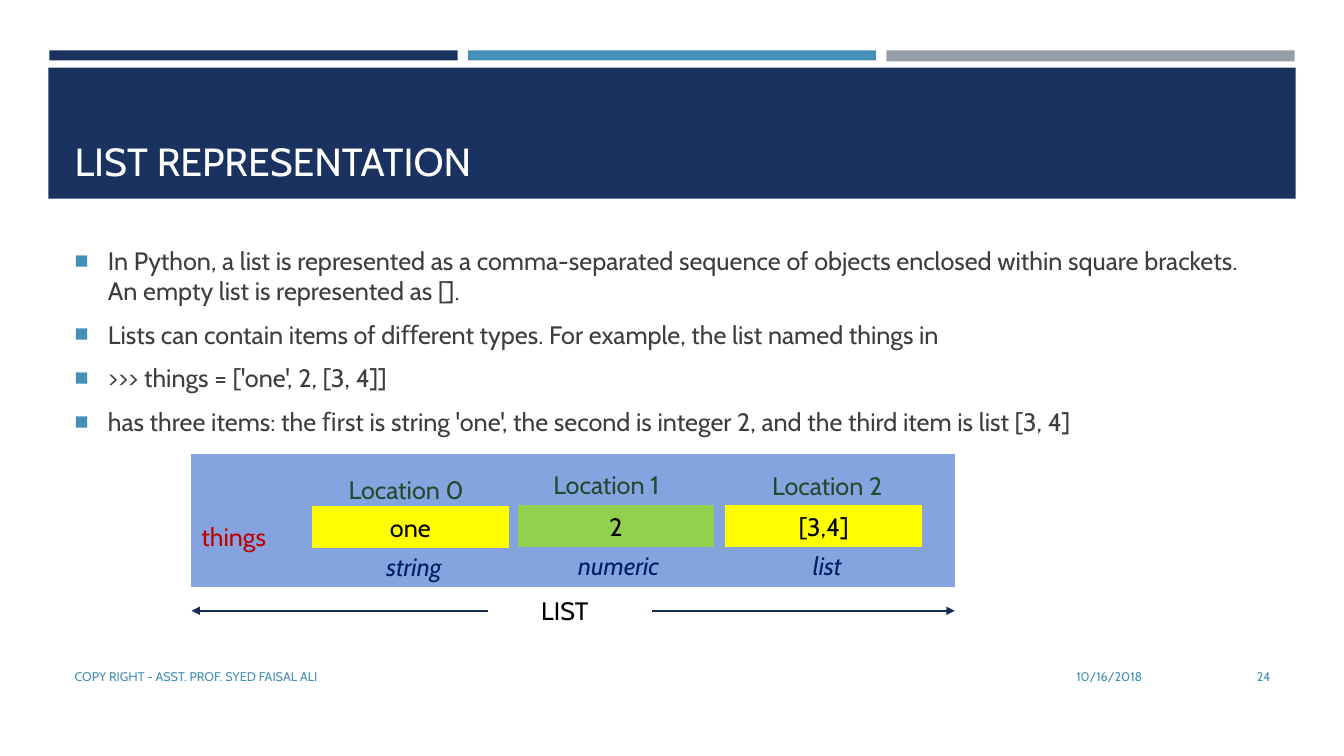
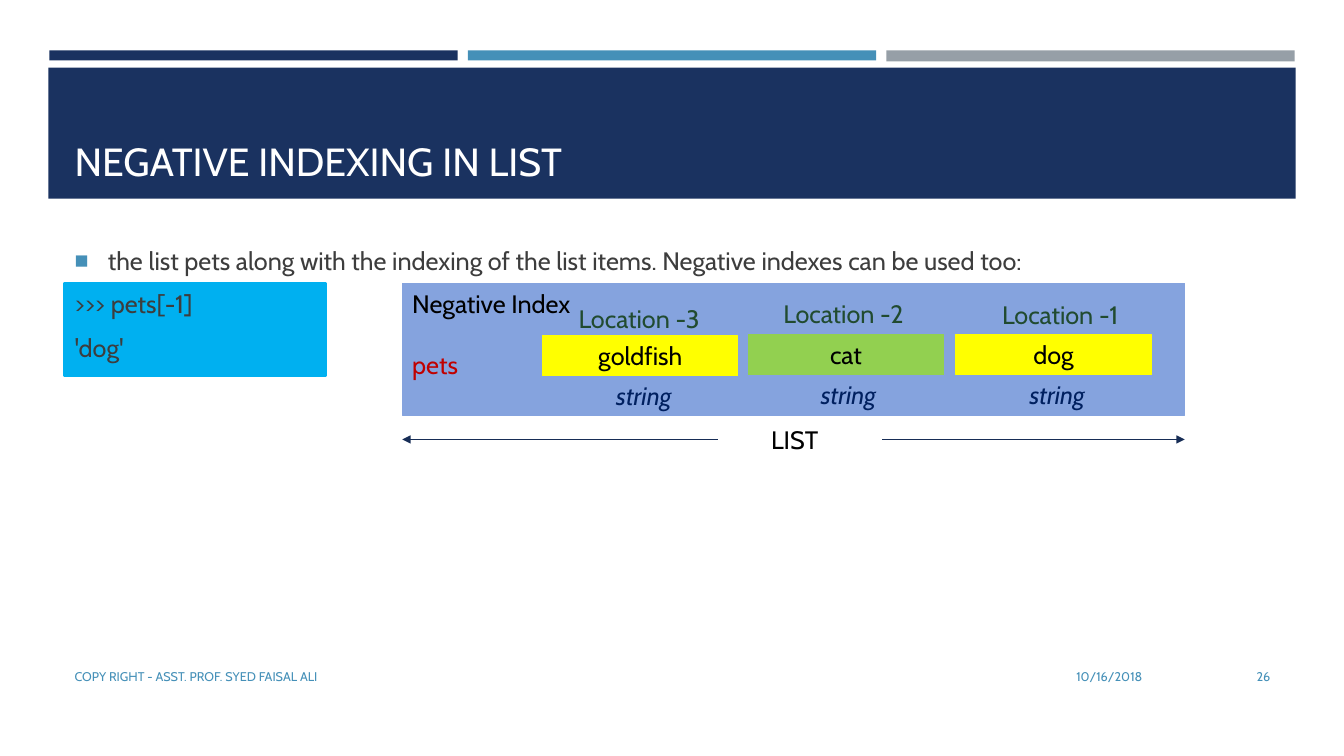
from copy import deepcopy
from dataclasses import dataclass

from lxml import etree
from pptx import Presentation, util as u
from pptx.dml.color import RGBColor
from pptx.enum import shapes, text
from pptx.oxml.ns import qn

FONT = "Cabin"
NAVY, BLUE, GREY, WHITE = "1A3260", "4590B8", "969FA7", "FFFFFF"
INK, BLACK, RED, GREEN, DEEP = "3D3D3D", "000000", "C00000", "214B30", "002060"
PANEL, ARROW, SKY, LIME, YELLOW = "85A3DE", "172D56", "00B0F0", "92D050", "FFFF00"
LEFT, MID, RIGHT = text.PP_ALIGN.LEFT, text.PP_ALIGN.CENTER, text.PP_ALIGN.RIGHT
TOP, LOW = text.MSO_ANCHOR.TOP, text.MSO_ANCHOR.BOTTOM


@dataclass
class Box:
    x: float
    y: float
    w: float
    h: float


@dataclass
class Cell:
    place: str
    value: str
    kind: str


@dataclass
class Chart:
    name: str
    frame: Box
    cells: list[Cell]
    head: str = ""


@dataclass
class Slot:
    """Offsets of one cell from the panel's top right corner."""
    x: float
    y: float
    kind_x: float
    place_x: float
    place_y: float
    fill: str


@dataclass
class Page:
    title: str
    number: str
    body_h: float
    points: list[str]
    chart: Chart
    code: tuple[str, ...] = ()


BANDS = [
    (Box(0.49, 0.5, 4.05, 0.1), NAVY),
    (Box(4.64, 0.5, 4.05, 0.1), BLUE),
    (Box(8.79, 0.5, 4.05, 0.11), GREY),
    (Box(0.48, 0.67, 12.37, 1.3), NAVY),
]
SLOTS = [
    Slot(-6.37, 0.52, -6.11, -6.11, 0.15, YELLOW),
    Slot(-4.33, 0.51, -4.08, -4.08, 0.1, LIME),
    Slot(-2.27, 0.51, -2.01, -1.91, 0.11, YELLOW),
]
# Footer placeholders by index: place, alignment
FEET = {
    10: (Box(8.32, 6.51, 3.11, 0.4), RIGHT),
    11: (Box(0.64, 6.51, 7.56, 0.4), LEFT),
    12: (Box(11.55, 6.51, 1.15, 0.4), RIGHT),
}
DATE, CREDIT = "10/16/2018", "COPY RIGHT - ASST. PROF. SYED FAISAL ALI"

PAGES = [
    Page("LIST REPRESENTATION", "24", 2.13, [
        "In Python, a list is represented as a comma-separated sequence of objects "
        "enclosed within square brackets. An empty list is represented as [].",
        "Lists can contain items of diﬀerent types. For example, the list named things in",
        ">>> things = ['one', 2, [3, 4]]",
        "has three items: the ﬁrst is string 'one', the second is integer 2, "
        "and the third item is list [3, 4]",
    ], Chart("things", Box(1.9, 4.51, 7.57, 1.31), [
        Cell("Location 0", "one", "string"),
        Cell("Location 1", "2", "numeric"),
        Cell("Location 2", "[3,4]", "list"),
    ])),
    Page("NEGATIVE INDEXING IN LIST", "26", 4.02, [
        "the list pets along with the indexing of the list items. "
        "Negative indexes can be used too:",
    ], Chart("pets", Box(3.99, 2.81, 7.76, 1.31), [
        Cell("Location -3", "goldfish", "string"),
        Cell("Location -2", "cat", "string"),
        Cell("Location -1", "dog", "string"),
    ], "Negative Index"), (">>> pets[-1]", "'dog'")),
]


def tint(hue: str) -> RGBColor:
    return RGBColor.from_string(hue)


def spot(box: Box) -> tuple:
    return tuple(u.Inches(v) for v in (box.x, box.y, box.w, box.h))


def move(shape, box: Box) -> None:
    shape.left, shape.top, shape.width, shape.height = spot(box)


def write(para, words: str, hue: str, size: float = 18, align=LEFT,
          slant: bool = False) -> None:
    para.alignment = align
    run = para.add_run()
    run.text = words
    font = run.font
    font.name, font.size = FONT, u.Pt(size)
    font.color.rgb = tint(hue)
    if slant:
        font.italic = True


def block(slide, box: Box, hue: str, edge: float = 0):
    shape = slide.shapes.add_shape(shapes.MSO_SHAPE.RECTANGLE, *spot(box))
    shape.shadow.inherit = False
    shape.fill.solid()
    shape.fill.fore_color.rgb = tint(hue)
    if edge:
        shape.line.color.rgb = tint(hue)
        shape.line.width = u.Pt(edge)
    else:
        shape.line.fill.background()
    shape.text_frame.vertical_anchor = TOP
    return shape


def label(slide, box: Box, words: str, hue: str, align=LEFT,
          slant: bool = False) -> None:
    frame = slide.shapes.add_textbox(*spot(box)).text_frame
    frame.word_wrap = True
    write(frame.paragraphs[0], words, hue, align=align, slant=slant)


def arrow(slide, start: float, end: float, y: float) -> None:
    line = slide.shapes.add_connector(
        shapes.MSO_CONNECTOR.STRAIGHT, *(u.Inches(v) for v in (start, y, end, y)))
    line.line.color.rgb = tint(ARROW)
    line.line.width = u.Pt(1)
    props = line.element.spPr
    etree.SubElement(props.find(qn("a:ln")), qn("a:tailEnd"), type="triangle")
    etree.SubElement(props, qn("a:effectLst"))


def mark(para, bullet: bool) -> None:
    """Set the square bullet and its indent, or clear both."""
    props = para._p.get_or_add_pPr()
    dent = u.Inches(0.33) if bullet else 0
    props.set("marL", str(dent))
    props.set("indent", str(-dent))
    if not bullet:
        etree.SubElement(props, qn("a:buNone"))
        return
    hue = etree.SubElement(props, qn("a:buClr"))
    etree.SubElement(hue, qn("a:srgbClr"), val=BLUE)
    etree.SubElement(props, qn("a:buSzPct"), val="92000")
    etree.SubElement(props, qn("a:buChar"), char="■")


def fill_body(body, page: Page) -> None:
    move(body, Box(0.64, 2.38, 12.06, page.body_h))
    frame = body.text_frame
    frame.auto_size = text.MSO_AUTO_SIZE.NONE
    rows = [(p, True) for p in page.points] + [(c, False) for c in page.code]
    for i, (words, bullet) in enumerate(rows):
        para = frame.add_paragraph() if i else frame.paragraphs[0]
        para.space_after = u.Pt(6)
        mark(para, bullet)
        write(para, words, INK)


def draw_chart(slide, chart: Chart) -> None:
    box = chart.frame
    end, top = box.x + box.w, box.y
    # Panel with the name of the list
    frame = block(slide, box, PANEL, 0.75).text_frame
    frame.vertical_anchor = LOW
    frame.margin_bottom = u.Inches(0.35)
    para = frame.paragraphs[0]
    if chart.head:
        write(para, chart.head, BLACK)
        para = frame.add_paragraph()
        para.space_before = u.Pt(22)
    write(para, chart.name, RED)
    # Span of the list
    label(slide, Box(end - 4.2, top + 1.35, 1.67, 0.4), "LIST", BLACK)
    arrow(slide, end - 4.63, box.x, top + 1.55)
    arrow(slide, end - 3, end, top + 1.55)
    # Cells with type below and index above
    for slot, cell in zip(SLOTS, chart.cells):
        y = top + slot.y
        shape = block(slide, Box(end + slot.x, y, 1.94, 0.4), slot.fill, 0.75)
        write(shape.text_frame.paragraphs[0], cell.value, BLACK, align=MID)
        label(slide, Box(end + slot.kind_x, y + 0.39, 1.49, 0.4),
              cell.kind, DEEP, MID, True)
        label(slide, Box(end + slot.place_x, top + slot.place_y, 1.49, 0.4),
              cell.place, GREEN)


def add_feet(slide, layout, number: str) -> None:
    words = {10: DATE, 11: CREDIT, 12: number}
    for foot in layout.placeholders:
        key = foot.placeholder_format.idx
        if key in FEET:
            slide.shapes.element.append(deepcopy(foot.element))
    for foot in slide.placeholders:
        key = foot.placeholder_format.idx
        if key in FEET:
            box, align = FEET[key]
            move(foot, box)
            foot.text_frame.clear()
            foot.text_frame.vertical_anchor = text.MSO_ANCHOR.MIDDLE
            write(foot.text_frame.paragraphs[0], words[key], BLUE, 9, align)


def add_page(deck, layout, page: Page):
    slide = deck.slides.add_slide(layout)
    title, body = slide.shapes.title, slide.placeholders[1]
    add_feet(slide, layout, page.number)
    title.text_frame.auto_size = text.MSO_AUTO_SIZE.NONE
    write(title.text_frame.paragraphs[0], page.title, WHITE, 28)
    fill_body(body, page)
    if page.code:
        back = block(slide, Box(0.64, 2.81, 2.59, 0.92), SKY, 1.75)
        title.element.addprevious(back.element)
    draw_chart(slide, page.chart)
    return slide


def main() -> None:
    deck = Presentation()
    deck.slide_width, deck.slide_height = u.Inches(13.33), u.Inches(7.5)
    layout = deck.slide_layouts[1]
    head = layout.placeholders[0]
    move(head, Box(0.64, 0.77, 12.06, 1.11))
    head.text_frame.vertical_anchor = LOW
    slides = [add_page(deck, layout, page) for page in PAGES]
    # The bands belong to the layout, behind its title
    for box, hue in BANDS:
        head.element.addprevious(block(slides[0], box, hue).element)
    deck.save("out.pptx")


if __name__ == "__main__":
    main()
